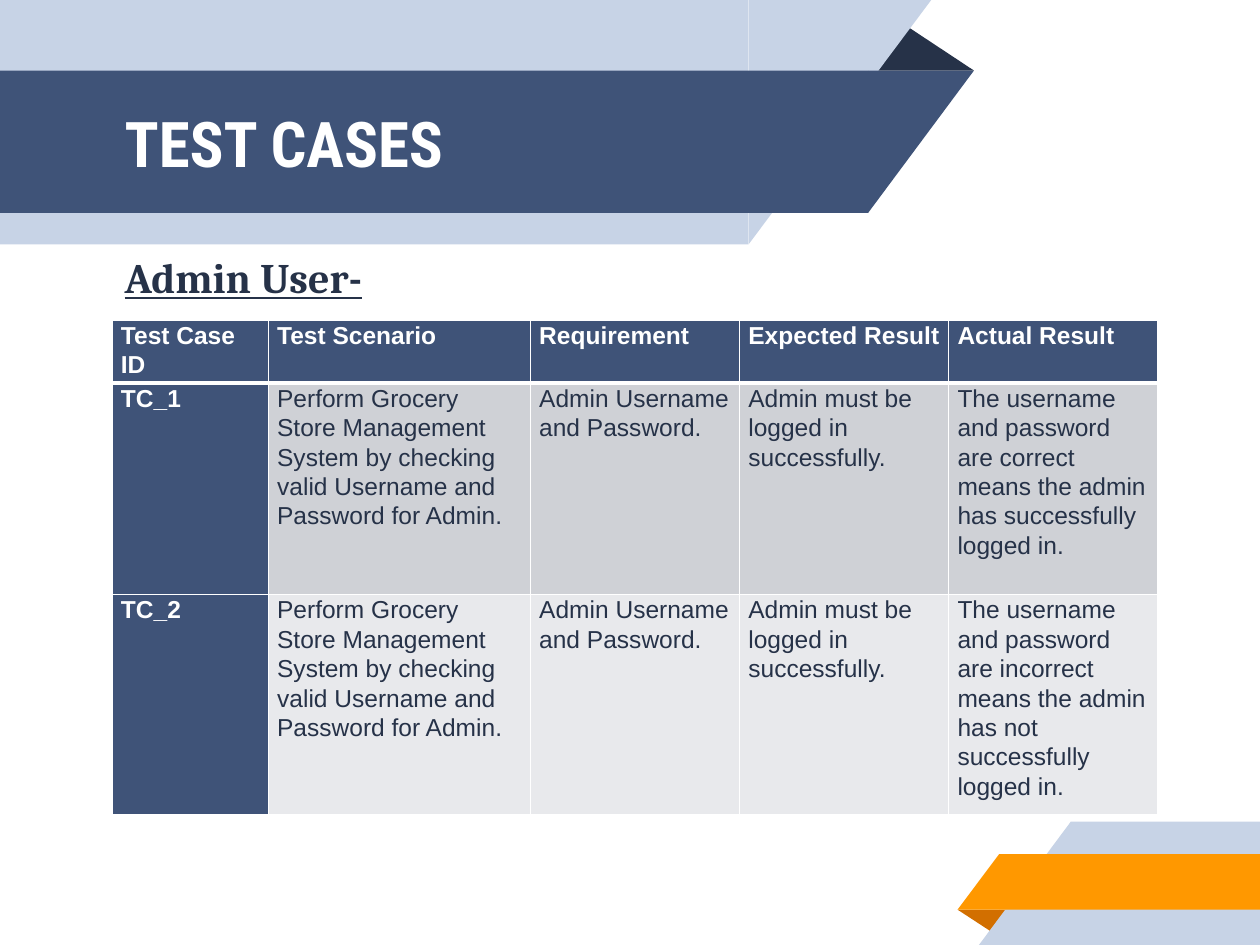
"""Build the Test Cases slide for the admin user."""
from dataclasses import dataclass

from lxml import etree
from pptx import Presentation
from pptx.dml.color import RGBColor
from pptx.enum.shapes import MSO_SHAPE
from pptx.enum.text import MSO_ANCHOR
from pptx.oxml.ns import qn
from pptx.util import Inches, Pt

RECT, RIGHT_TRI, TRI = MSO_SHAPE.RECTANGLE, MSO_SHAPE.RIGHT_TRIANGLE, MSO_SHAPE.ISOSCELES_TRIANGLE
MIDDLE, TOP = MSO_ANCHOR.MIDDLE, MSO_ANCHOR.TOP


@dataclass(frozen=True)
class Theme:
    navy: str = "3F5378"
    ink: str = "263248"
    pale: str = "C7D3E6"
    orange: str = "FF9800"
    rust: str = "D26F00"
    white: str = "FFFFFF"
    bands: tuple = ("CFD1D6", "E8E9EC")
    title_size: int = 36
    heading_size: int = 24
    body_size: int = 14
    title_font: str = "Roboto Condensed"
    heading_font: str = "Cambria"
    body_font: str = "Arial"


def style_text(p, font, size, color, bold):
    for r in p.runs:
        r.font.name, r.font.size, r.font.bold = font, Pt(size), bold
        r.font.color.rgb = RGBColor.from_string(color)


def add_border(cell, side, width):
    ln = etree.SubElement(cell._tc.get_or_add_tcPr(), qn(f"a:ln{side}"), w=str(Pt(width)))
    fill = etree.SubElement(ln, qn("a:solidFill"))
    etree.SubElement(fill, qn("a:srgbClr"), val=t.white)


t = Theme()
prs = Presentation()
prs.slide_width, prs.slide_height = Inches(10), Inches(7.5)
s = prs.slides.add_slide(prs.slide_layouts[6])

ribbons = [
    (TRI, 6.88, 0.18, 0.85, 0.38, 0, False, t.ink),
    (RECT, 0, 0, 5.94, 1.94, 180, True, t.pale),
    (RIGHT_TRI, 5.94, 0, 1.45, 1.94, 180, True, t.pale),
    (RECT, 0, 0.56, 6.89, 1.13, 180, True, t.navy),
    (RIGHT_TRI, 6.89, 0.56, 0.84, 1.13, 180, True, t.navy),
    (TRI, 7.6, 7.22, 0.43, 0.19, 180, False, t.rust),
    (RECT, 8.5, 6.52, 1.5, 0.98, 0, True, t.pale),
    (RIGHT_TRI, 7.77, 6.52, 0.73, 0.98, 0, True, t.pale),
    (RECT, 7.93, 6.78, 2.07, 0.44, 0, True, t.orange),
    (RIGHT_TRI, 7.6, 6.78, 0.33, 0.44, 0, True, t.orange),
]
for kind, x, y, w, h, turn, flip, color in ribbons:
    sp = s.shapes.add_shape(kind, Inches(x), Inches(y), Inches(w), Inches(h))
    sp.shadow.inherit = False
    sp.rotation = turn
    if flip:
        sp._element.spPr.xfrm.set("flipH", "1")
    if kind == TRI:
        sp.adjustments[0] = 0.324
    sp.fill.solid()
    sp.fill.fore_color.rgb = RGBColor.from_string(color)
    sp.line.fill.background()

left, table_width = 0.89, 8.3
headings = [
    ("TEST CASES", 0.57, 5.75, 1.12, 0.1, t.title_font, t.title_size, t.white, False),
    ("Admin User-", 1.95, table_width, 0.5, 0.05, t.heading_font, t.heading_size, t.ink, True),
]
for text, y, w, h, inset, font, size, color, underline in headings:
    tf = s.shapes.add_textbox(Inches(left), Inches(y), Inches(w), Inches(h)).text_frame
    tf.word_wrap = True
    tf.vertical_anchor = MIDDLE
    tf.margin_left = tf.margin_right = Inches(0.1)
    tf.margin_top = tf.margin_bottom = Inches(inset)
    tf.text = text
    p = tf.paragraphs[0]
    style_text(p, font, size, color, True)
    p.runs[0].font.underline = underline

scenario = "Perform Grocery Store Management System by checking valid Username and Password for Admin."
requirement = "Admin Username and Password."
expected = "Admin must be logged in successfully."
rows = [
    ["Test Case ID", "Test Scenario", "Requirement", "Expected Result", "Actual Result"],
    ["TC_1", scenario, requirement, expected,
     "The username and password are correct means the admin has successfully logged in."],
    ["TC_2", scenario, requirement, expected,
     "The username and password are incorrect means the admin has not successfully logged in."],
]
widths = [1.24, 2.08, 1.66, 1.66, 1.66]
heights = [0.46, 1.68, 1.68]
table = s.shapes.add_table(len(rows), len(widths), Inches(left), Inches(2.54),
                           Inches(table_width), Inches(sum(heights))).table
for column, w in zip(table.columns, widths):
    column.width = Inches(w)
for i, (row, h) in enumerate(zip(rows, heights)):
    table.rows[i].height = Inches(h)
    for j, text in enumerate(row):
        cell = table.cell(i, j)
        head = i == 0 or j == 0
        cell.margin_left = cell.margin_right = Inches(0.07)
        cell.margin_top = cell.margin_bottom = 0
        cell.vertical_anchor = TOP
        for side in "LRTB":
            thick = (i == 0 and side == "B") or (i == 1 and side == "T")
            add_border(cell, side, 3 if thick else 1)
        cell.fill.solid()
        cell.fill.fore_color.rgb = RGBColor.from_string(t.navy if head else t.bands[i - 1])
        cell.text_frame.text = text
        p = cell.text_frame.paragraphs[0]
        p.line_spacing = 1.07
        p.space_after = Pt(8)
        style_text(p, t.body_font, t.body_size, t.white if head else t.ink, head)

prs.save("out.pptx")
